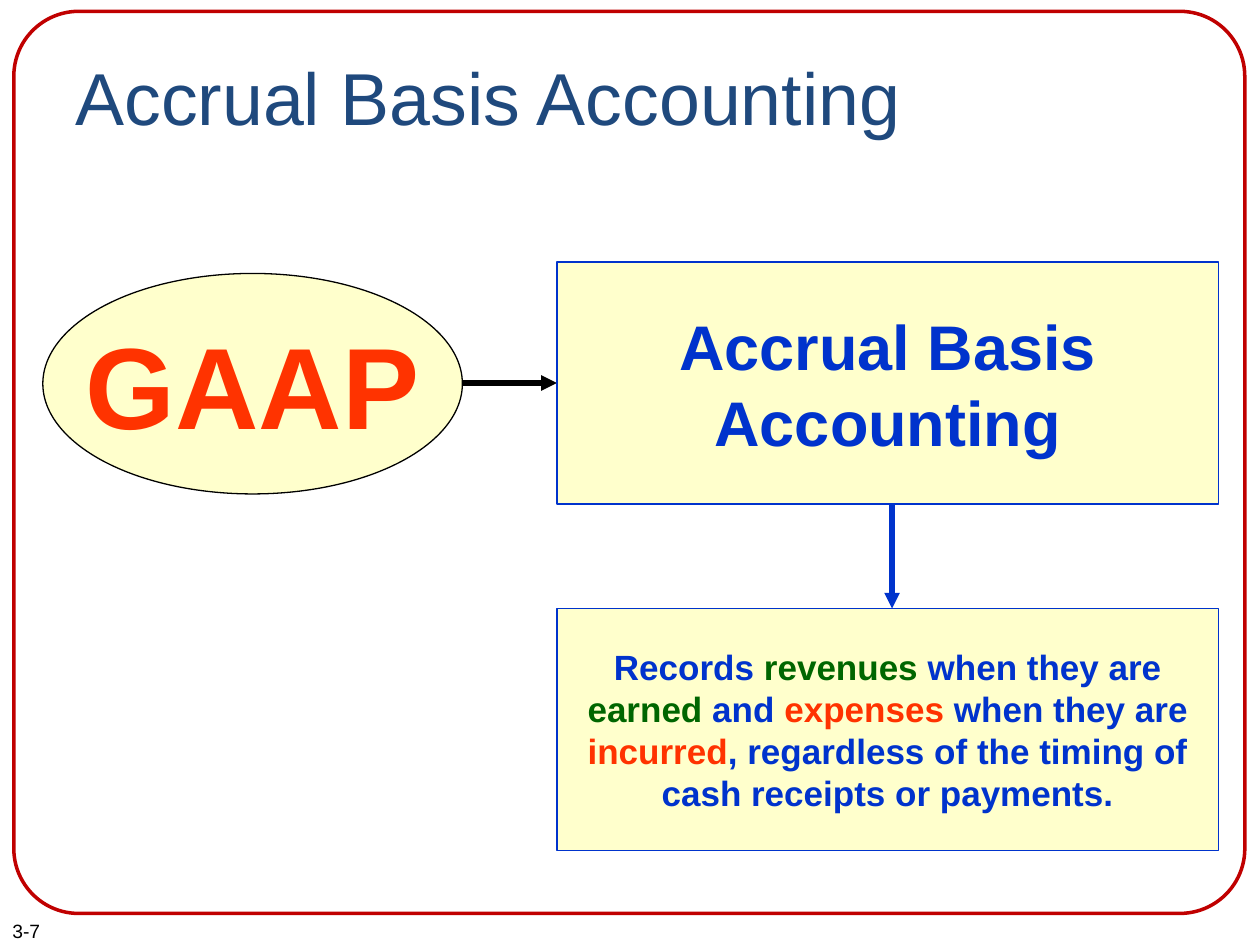
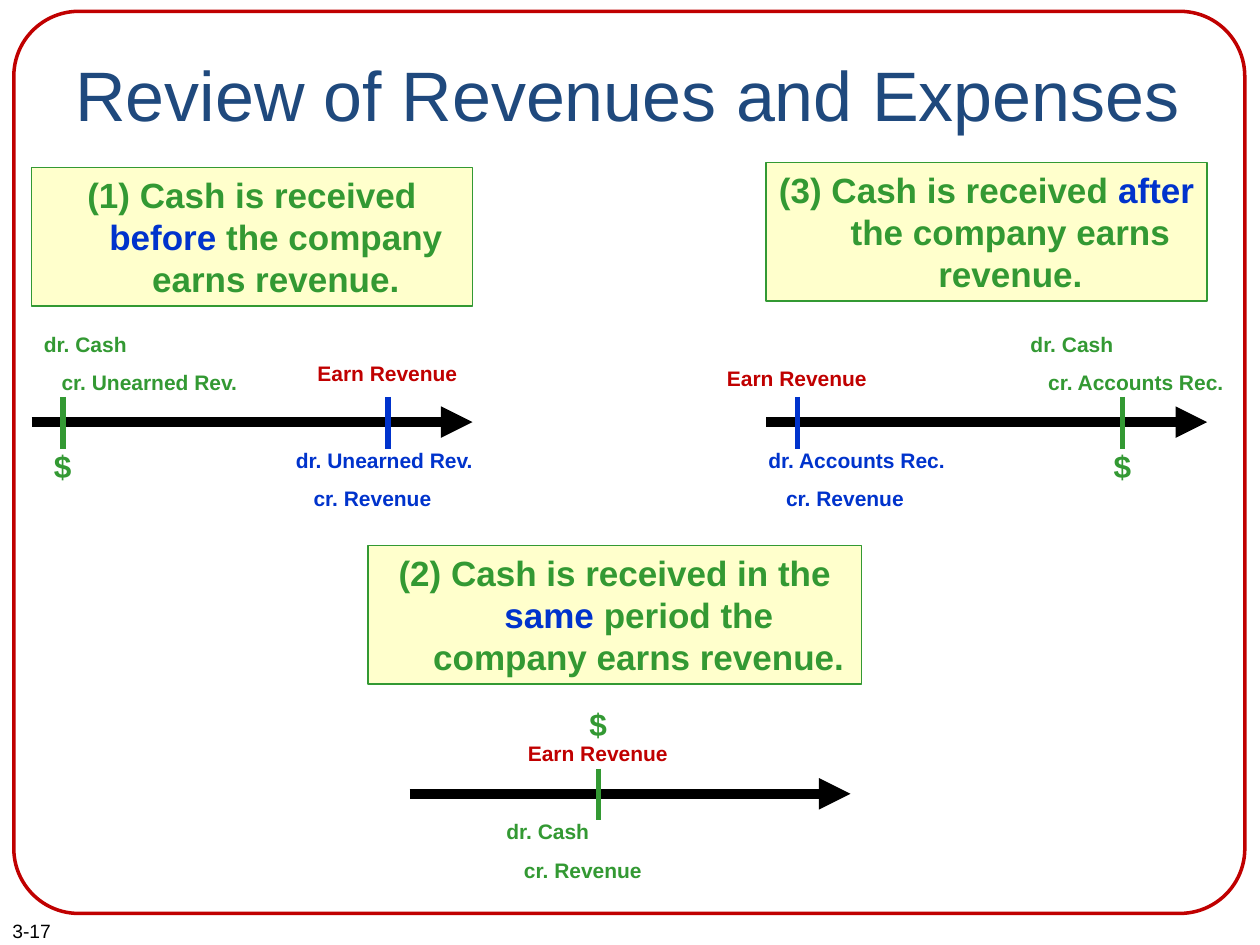
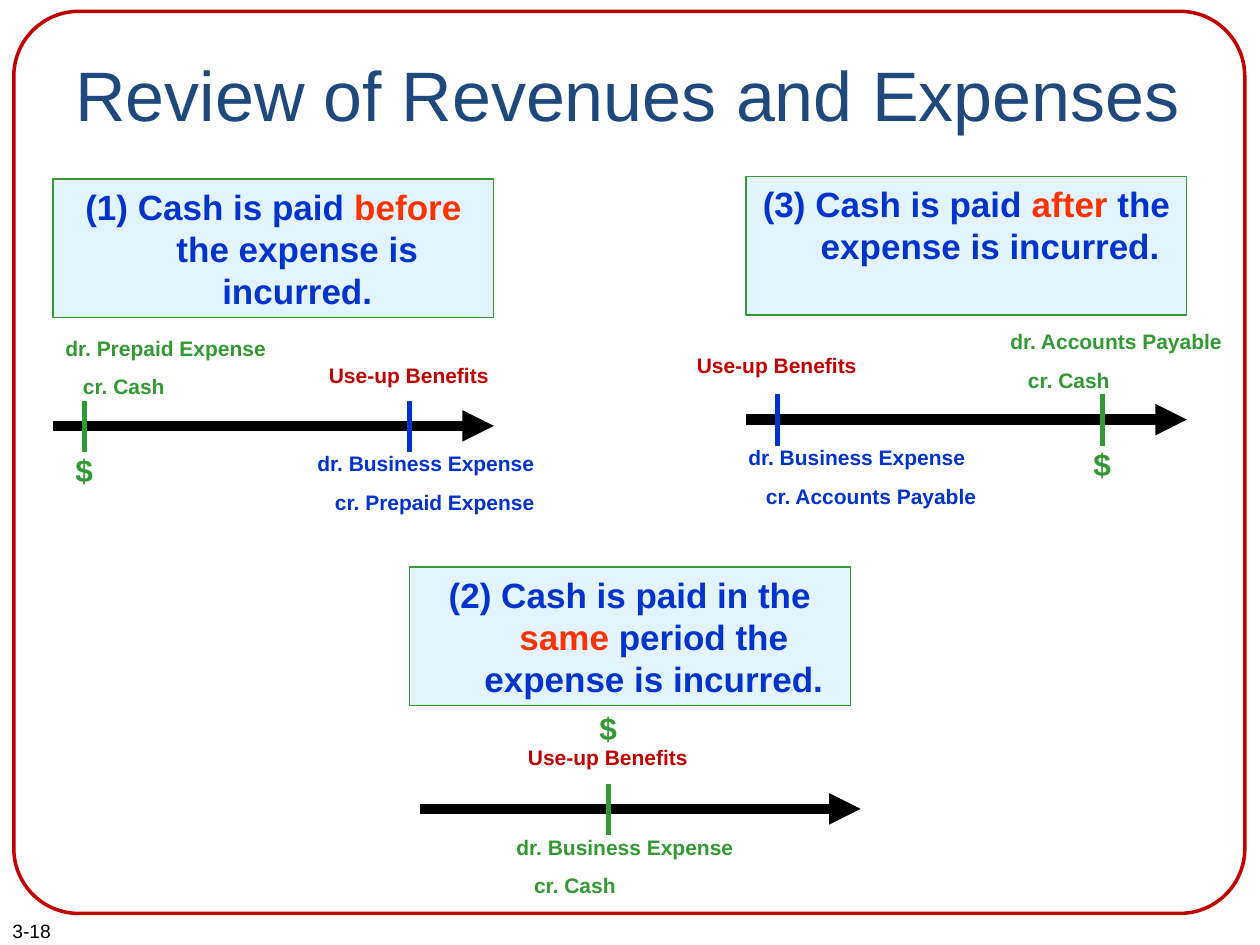
from dataclasses import dataclass

from pptx import Presentation
from pptx import util as u
from pptx.dml.color import RGBColor
from pptx.enum import shapes, text
from pptx.oxml import ns
from lxml import etree

FONT = "Arial"
BLACK = RGBColor(0x00, 0x00, 0x00)
NAVY = RGBColor(0x1F, 0x49, 0x7D)
DARK_RED = RGBColor(0xC0, 0x00, 0x00)
BLUE = RGBColor(0x00, 0x33, 0xCC)
GREEN = RGBColor(0x33, 0x99, 0x33)
DARK_GREEN = RGBColor(0x00, 0x66, 0x00)
ORANGE = RGBColor(0xFF, 0x33, 0x00)
CREAM = RGBColor(0xFF, 0xFF, 0xCC)
PALE_BLUE = RGBColor(0xE3, 0xF4, 0xFF)

LEFT, CENTER = text.PP_ALIGN.LEFT, text.PP_ALIGN.CENTER
TOP, MIDDLE = text.MSO_ANCHOR.TOP, text.MSO_ANCHOR.MIDDLE
RECTANGLE = shapes.MSO_SHAPE.RECTANGLE

AXIS_LENGTH = 3.5
REVIEW_TITLE = "Review of Revenues and Expenses"


@dataclass
class Event:
    """A tick on a time line; the *_dy values are measured from the axis."""
    offset: float
    colour: RGBColor
    entry: tuple
    entry_dx: float
    entry_dy: float = 0.15
    dollar_dy: float | None = None
    label_dy: float | None = None


@dataclass
class Case:
    caption_box: tuple
    caption: list
    left: float
    axis: float
    events: list


# Basic parts

def write(shape, paragraphs, size, colour=BLACK, bold=False, align=LEFT, anchor=TOP,
          wrap=True, top_inset=0.05, space_before=0, hanging=0, step=0):
    """Each paragraph is a string or a list of (words, colour) spans."""
    frame = shape.text_frame
    frame.word_wrap = wrap
    frame.vertical_anchor = anchor
    frame.margin_left = frame.margin_right = u.Inches(0.1)
    frame.margin_top, frame.margin_bottom = u.Inches(top_inset), u.Inches(0.05)
    for index, spans in enumerate(paragraphs):
        para = frame.add_paragraph() if index else frame.paragraphs[0]
        para.alignment = align
        if index:
            para.space_before = u.Pt(space_before)
        if hanging or step * index:
            properties = para._p.get_or_add_pPr()
            properties.set("marL", str(u.Inches(hanging + step * index)))
            properties.set("indent", str(u.Inches(-hanging)))
        if isinstance(spans, str):
            spans = [(spans, colour)]
        for words, span_colour in spans:
            span = para.add_run()
            span.text = words
            span.font.name, span.font.size, span.font.bold = FONT, u.Pt(size), bold
            span.font.color.rgb = span_colour


def add_label(page, box, paragraphs, size, **style):
    write(page.shapes.add_textbox(*map(u.Inches, box)), paragraphs, size, **style)


def add_box(page, kind, box, fill, line, weight=0.75):
    shape = page.shapes.add_shape(kind, *map(u.Inches, box))
    shape.shadow.inherit = False
    if fill is None:
        shape.fill.background()
    else:
        shape.fill.solid()
        shape.fill.fore_color.rgb = fill
    shape.line.color.rgb = line
    shape.line.width = u.Pt(weight)
    return shape


def add_line(page, start, end, colour, weight, arrow=False):
    line = page.shapes.add_connector(shapes.MSO_CONNECTOR.STRAIGHT,
                                     *map(u.Inches, start + end))
    line.line.color.rgb = colour
    line.line.width = u.Pt(weight)
    if arrow:
        etree.SubElement(line.line._get_or_add_ln(), ns.qn("a:tailEnd"), type="triangle")
    etree.SubElement(line._element.spPr, ns.qn("a:effectLst"))


def add_page(deck, title, number, title_size=40):
    page = deck.slides.add_slide(deck.slide_layouts[6])
    border = add_box(page, shapes.MSO_SHAPE.ROUNDED_RECTANGLE, (0.11, 0.09, 9.77, 7.16),
                     None, DARK_RED, 2)
    border.adjustments[0] = 0.072
    add_label(page, (0.5, 0.3, 9, 1.25), [title], title_size, colour=NAVY, top_inset=0.11)
    add_label(page, (0, 7.25, 0.67, 0.29), [number], 11)
    return page


# Accrual basis slide

def accrual_page(deck):
    page = add_page(deck, "Accrual Basis Accounting", "3-7", 42)
    left, width, height, centre = 4.42, 5.25, 1.92, 7.08

    gaap = add_box(page, shapes.MSO_SHAPE.OVAL, (0.34, 2.17, 3.33, 1.75), CREAM, BLACK)
    write(gaap, ["GAAP"], 66, colour=ORANGE, bold=True, align=CENTER, anchor=MIDDLE,
          wrap=False)
    add_line(page, (centre, 3.83), (centre, 4.83), BLUE, 3, arrow=True)
    add_line(page, (3.67, 3.04), (left, 3.04), BLACK, 3, arrow=True)

    rule = [("Records ", BLUE), ("revenues ", DARK_GREEN), ("when they are ", BLUE),
            ("earned", DARK_GREEN), (" and ", BLUE), ("expenses", ORANGE),
            (" when they are ", BLUE), ("incurred", ORANGE),
            (", regardless of the timing of cash receipts or payments.", BLUE)]
    for top, words, size in ((2.08, "Accrual Basis Accounting", 36), (4.83, rule, 20)):
        panel = add_box(page, RECTANGLE, (left, top, width, height), CREAM, BLUE)
        write(panel, [words], size, colour=BLUE, bold=True, align=CENTER, anchor=MIDDLE)


# Review slides

def add_event(page, event, left, axis, label):
    x = left + event.offset
    add_line(page, (x, axis - 0.2), (x, axis + 0.21), event.colour, 3)
    add_label(page, (left + event.entry_dx, axis + event.entry_dy, 2.25, 0.61), event.entry,
              12, colour=event.colour, bold=True, space_before=7.5, step=0.14)
    if event.dollar_dy is not None:
        add_label(page, (x - 0.17, axis + event.dollar_dy, 0.33, 0.4), ["$"], 18,
                  colour=GREEN, bold=True)
    if event.label_dy is not None:
        add_label(page, (x - 1.17, axis + event.label_dy, 2.33, 0.3), [label], 12,
                  colour=DARK_RED, bold=True, align=CENTER)


def add_case(page, case, label, fill, colour, accent):
    caption = add_box(page, RECTANGLE, case.caption_box, fill, GREEN)
    before, key_word, after = case.caption
    write(caption, [[(before, colour), (key_word, accent), (after, colour)]], 20,
          bold=True, align=CENTER, hanging=0.38)
    add_line(page, (case.left, case.axis), (case.left + AXIS_LENGTH, case.axis),
             BLACK, 6, arrow=True)
    for event in case.events:
        add_event(page, event, case.left, case.axis, label)


def review_page(deck, number, cases, **style):
    page = add_page(deck, REVIEW_TITLE, number)
    for case in cases:
        add_case(page, case, **style)


def cash_first(cash_entry, later_entry, label_dy):
    return [Event(0.25, GREEN, cash_entry, 0, entry_dy=-0.77, dollar_dy=0.15),
            Event(2.83, BLUE, later_entry, 2, label_dy=label_dy)]


def cash_last(first_entry, cash_entry, label_dy):
    return [Event(0.25, BLUE, first_entry, -0.08, label_dy=label_dy),
            Event(2.83, GREEN, cash_entry, 2, entry_dy=-0.77, dollar_dy=0.15)]


def cash_same(entry, dollar_dy, label_dy):
    return [Event(1.5, GREEN, entry, 0.67, dollar_dy=dollar_dy, label_dy=label_dy)]


REVENUE_CASES = [
    Case((0.25, 1.33, 3.5, 1.1),
         ["(1) Cash is received ", "before", " the company earns revenue."], 0.25, 3.35,
         cash_first(("dr. Cash", "cr. Unearned Rev."),
                    ("dr. Unearned Rev.", "cr. Revenue"), -0.54)),
    Case((2.92, 4.33, 3.92, 1.1),
         ["(2) Cash is received in the ", "same ", "period the company earns revenue."],
         3.25, 6.3, cash_same(("dr. Cash", "cr. Revenue"), -0.75, -0.47)),
    Case((6.08, 1.29, 3.5, 1.1),
         ["(3) Cash is received ", "after", " the company earns revenue."], 6.08, 3.35,
         cash_last(("dr. Accounts Rec.", "cr. Revenue"),
                   ("dr. Cash", "cr. Accounts Rec."), -0.5)),
]

EXPENSE_CASES = [
    Case((0.42, 1.42, 3.5, 1.1),
         ["(1) Cash is paid ", "before", " the expense is incurred."], 0.42, 3.38,
         cash_first(("dr. Prepaid Expense", "cr. Cash"),
                    ("dr. Business Expense", "cr. Prepaid Expense"), -0.55)),
    Case((3.25, 4.5, 3.5, 1.1),
         ["(2) Cash is paid in the ", "same", " period the expense is incurred."],
         3.33, 6.42, cash_same(("dr. Business Expense", "cr. Cash"), -0.84, -0.56)),
    Case((5.92, 1.4, 3.5, 1.1),
         ["(3) Cash is paid ", "after", " the expense is incurred."], 5.92, 3.33,
         cash_last(("dr. Business Expense", "cr. Accounts Payable"),
                   ("dr. Accounts Payable", "cr. Cash"), -0.58)),
]


def main():
    deck = Presentation()
    deck.slide_width, deck.slide_height = u.Inches(10), u.Inches(7.5)
    accrual_page(deck)
    review_page(deck, "3-17", REVENUE_CASES, label="Earn Revenue",
                fill=CREAM, colour=GREEN, accent=BLUE)
    review_page(deck, "3-18", EXPENSE_CASES, label="Use-up Benefits",
                fill=PALE_BLUE, colour=BLUE, accent=ORANGE)
    deck.save("out.pptx")


if __name__ == "__main__":
    main()
